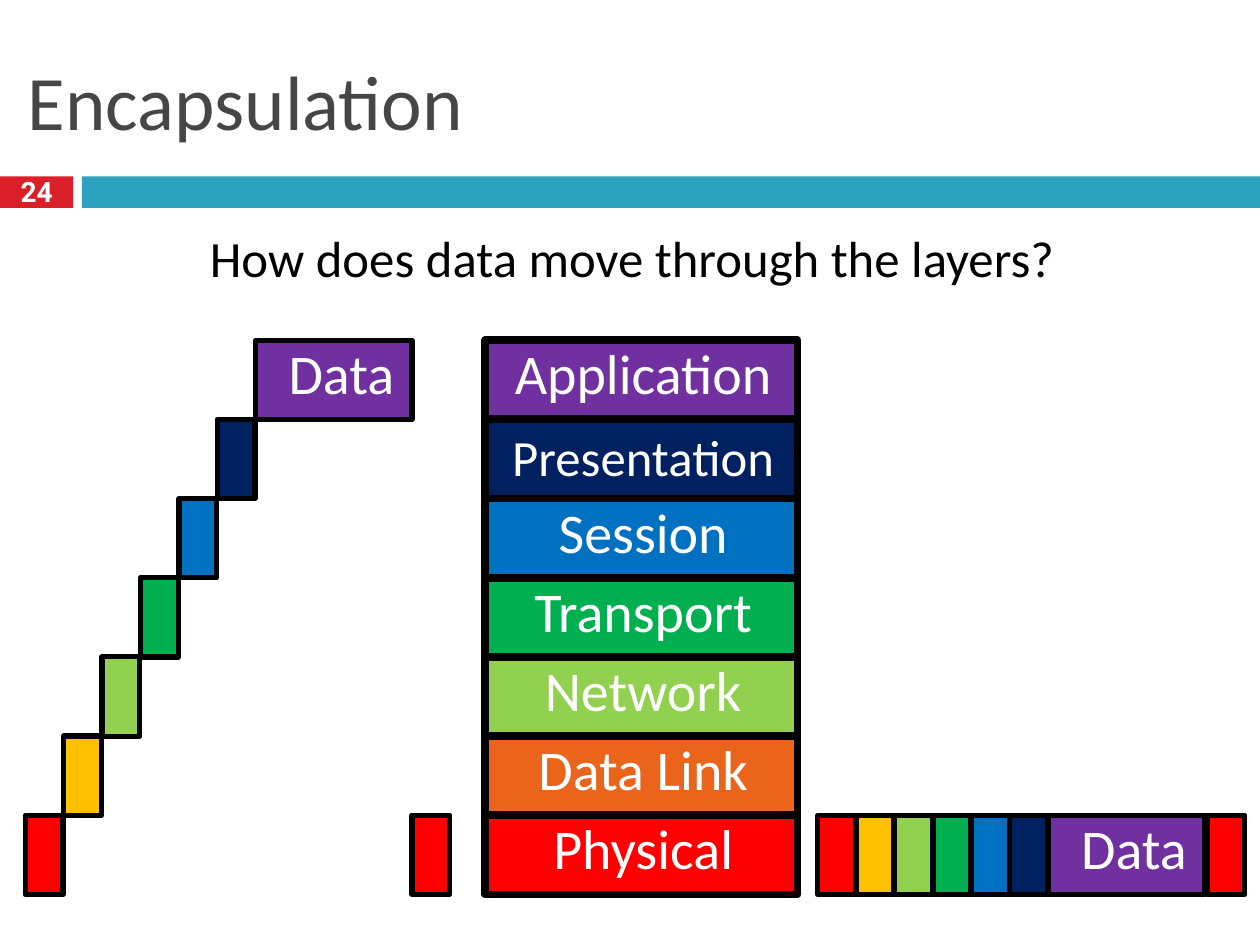
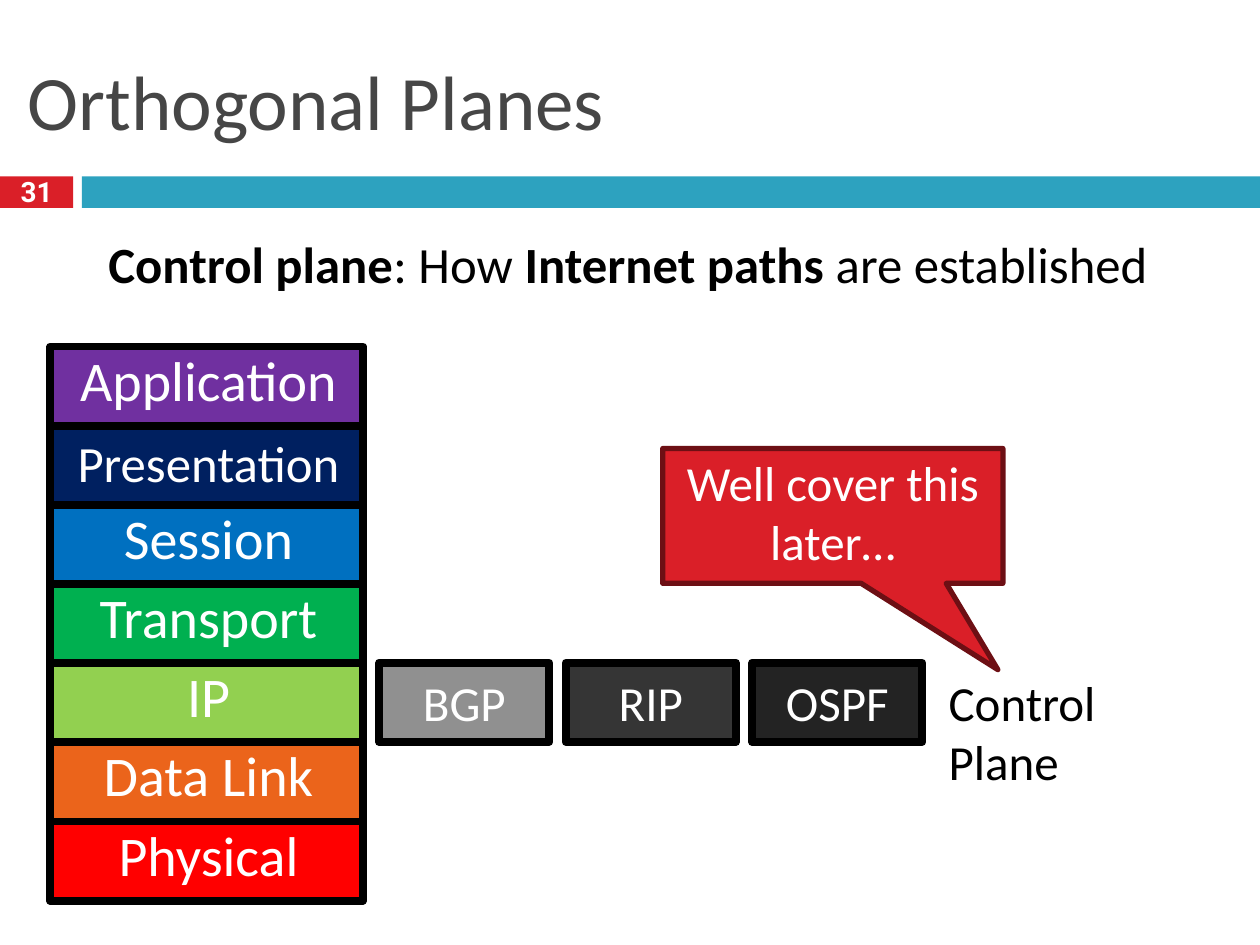
from pptx import Presentation
from pptx.dml.color import RGBColor
from pptx.enum.shapes import MSO_SHAPE as Preset
from pptx.enum.text import MSO_ANCHOR as Anchor, PP_ALIGN as Align
from pptx.util import Inches, Pt

color = RGBColor.from_string
WHITE, BLACK, RED, TEAL, GREY = "FFFFFF", "000000", "DA1F28", "2DA2BF", "464646"
LAYERS = [
    ("Application", "7030A0"),
    ("Presentation", "002060"),
    ("Session", "0070C0"),
    ("Transport", "00B050"),
    ("Network", "92D050"),
    ("Data Link", "EB641B"),
    ("Physical", "FF0000"),
]
HEADER_COLORS = ["FF0000", "FFC000", "92D050", "00B050", "0070C0", "002060"]
DATA_COLOR = "7030A0"
LAYER_WIDTH, LAYER_HEIGHT = 2.48, 0.63
LAYER_STEP = 3.77 / 6
HEADER_WIDTH, DATA_WIDTH = 0.3, 1.24
HEADER_STEP = 1.83 / 6
LABEL = dict(size=32, align=Align.CENTER, spacing=0.9, before=7, indent=0.12)


def add_box(slide, left, top, width, height, fill=None, line=None, weight=3, preset=Preset.RECTANGLE):
    area = [Inches(value) for value in (left, top, width, height)]
    if fill is None:
        return slide.shapes.add_textbox(*area)
    shape = slide.shapes.add_shape(preset, *area)
    shape.shadow.inherit = False
    shape.fill.solid()
    shape.fill.fore_color.rgb = color(fill)
    if line:
        shape.line.color.rgb = color(line)
        shape.line.width = Pt(weight)
    else:
        shape.line.fill.background()
    return shape


def write_text(shape, text, size=28, text_color=WHITE, font="Calibri", bold=False, align=Align.LEFT,
               anchor=Anchor.TOP, spacing=None, before=0, indent=0, left=0.05, right=0.05, top=0.05):
    frame = shape.text_frame
    frame.word_wrap = True
    frame.vertical_anchor = anchor
    frame.margin_left, frame.margin_right = Inches(left), Inches(right)
    frame.margin_top, frame.margin_bottom = Inches(top), Inches(0.05)
    paragraph = frame.paragraphs[0]
    paragraph.alignment = align
    paragraph.space_before = Pt(before)
    if spacing:
        paragraph.line_spacing = spacing
    if indent:
        properties = paragraph._p.get_or_add_pPr()
        properties.set("marL", "0")
        properties.set("indent", str(Inches(indent)))
    pieces = [(text, bold)] if isinstance(text, str) else text
    for words, is_bold in pieces:
        run = paragraph.add_run()
        run.text = words
        run.font.name = font
        run.font.size = Pt(size)
        run.font.bold = is_bold
        run.font.color.rgb = color(text_color)


presentation = Presentation()
presentation.slide_width, presentation.slide_height = Inches(10), Inches(7.5)

slides = []
for title, number, stack_left, stack_top, renamed in [
    ("Encapsulation", "24", 3.85, 2.7, {}),
    ("Orthogonal Planes", "31", 0.4, 2.75, {"Network": "IP"}),
]:
    slide = presentation.slides.add_slide(presentation.slide_layouts[6])
    slides.append(slide)
    add_box(slide, 0, 1.4, 0.58, 0.25, RED)
    add_box(slide, 0.65, 1.4, 9.35, 0.25, TEAL)
    write_text(add_box(slide, 0.17, 0.25, 9.67, 1.08), title, size=44, text_color=GREY, anchor=Anchor.MIDDLE)
    write_text(add_box(slide, 0, 1.37, 0.58, 0.35), number, size=16, font="Roboto", bold=True,
               align=Align.CENTER, anchor=Anchor.MIDDLE, spacing=0.8)
    for row, (name, fill) in enumerate(LAYERS):
        layer = add_box(slide, stack_left, stack_top + row * LAYER_STEP, LAYER_WIDTH, LAYER_HEIGHT,
                        fill, BLACK, 4.5)
        label = LABEL | dict(left=0.02, right=0.11)
        if name == "Presentation":
            label |= dict(size=29, spacing=None, before=6)
        write_text(layer, renamed.get(name, name), **label)

encapsulation, planes = slides

write_text(add_box(encapsulation, 0.2, 1.75, 9.64, 0.65), "How does data move through the layers?",
           size=29, text_color=BLACK, align=Align.CENTER, before=7)
bottom = 6.47
for packet_left, rise, trailer_left in [(0.2, LAYER_STEP, 3.27), (6.49, 0, 9.58)]:
    data = add_box(encapsulation, packet_left + 6 * HEADER_STEP, bottom - 6 * rise,
                   DATA_WIDTH, LAYER_HEIGHT, DATA_COLOR, BLACK)
    write_text(data, "Data", **LABEL)
    for position, fill in reversed(list(enumerate(HEADER_COLORS))):
        add_box(encapsulation, packet_left + position * HEADER_STEP, bottom - position * rise,
                HEADER_WIDTH, LAYER_HEIGHT, fill, BLACK)
    add_box(encapsulation, trailer_left, bottom, HEADER_WIDTH, LAYER_HEIGHT, HEADER_COLORS[0], BLACK)

for column, (protocol, fill) in enumerate([("BGP", "909090"), ("RIP", "353535"), ("OSPF", "232323")]):
    box = add_box(planes, 3.01 + column * 1.48, 5.26, 1.35, LAYER_HEIGHT, fill, BLACK, 4.5)
    write_text(box, protocol, align=Align.CENTER, anchor=Anchor.MIDDLE)
write_text(add_box(planes, 7.48, 5.29, 2, 0.96), "Control Plane", text_color=BLACK)
callout = add_box(planes, 5.26, 3.56, 2.7, 1.07, RED, "6D0F14", preset=Preset.RECTANGULAR_CALLOUT)
callout.adjustments[0] = 1.31 / 2.7
callout.adjustments[1] = 1.22 / 1.07
write_text(callout, "Well cover this later…", align=Align.CENTER, top=0.03)
write_text(add_box(planes, 0.68, 1.8, 8.61, 0.59),
           [("Control plane", True), (": How ", False), ("Internet paths", True), (" are established", False)],
           size=29, text_color=BLACK, align=Align.CENTER, before=7)

presentation.save("out.pptx")
